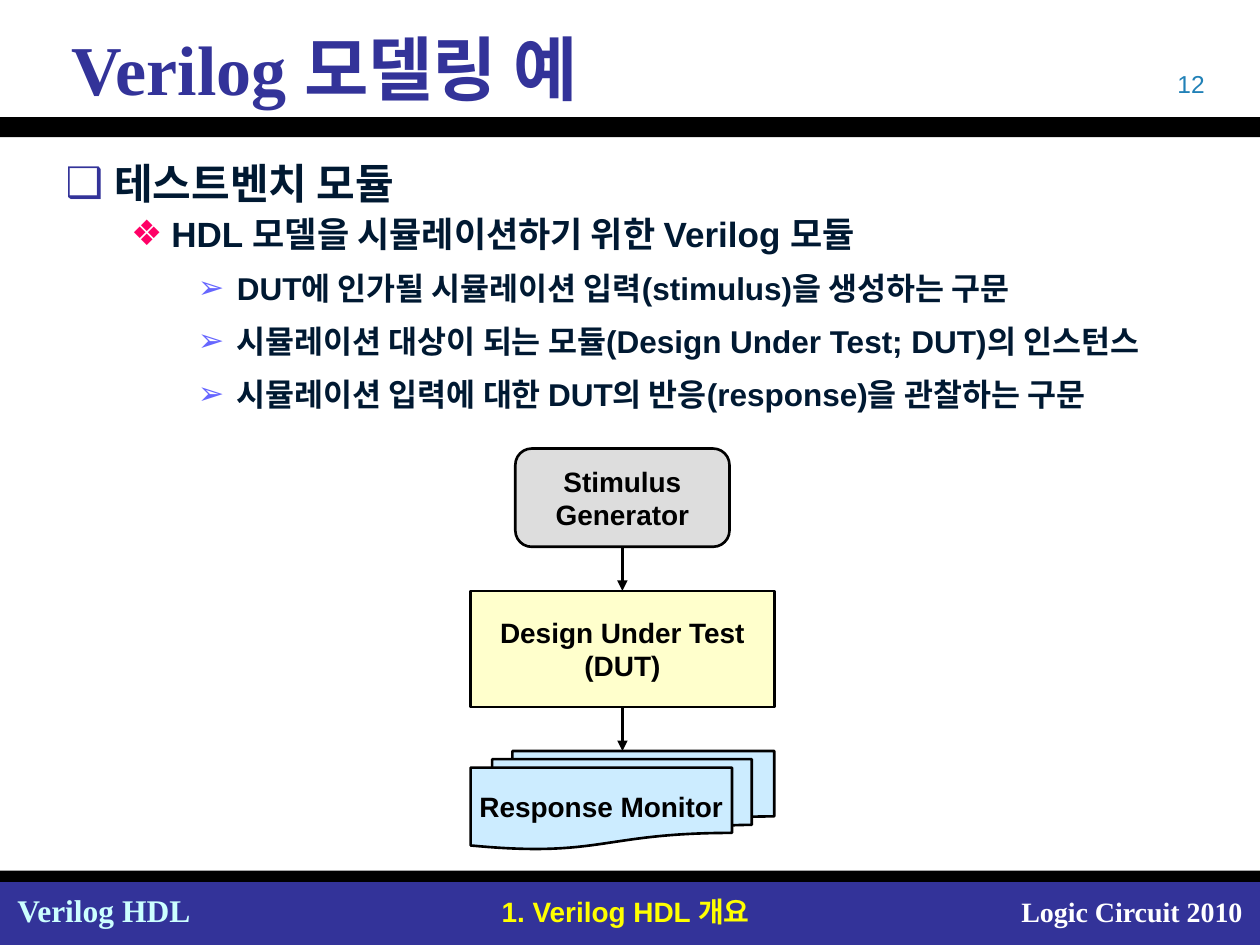
"""Build the Verilog test bench slide."""
from lxml.etree import SubElement as Sub
from pptx import Presentation
from pptx.dml.color import RGBColor as RGB
from pptx.enum.shapes import MSO_CONNECTOR as Link, MSO_SHAPE as Form
from pptx.enum.text import MSO_ANCHOR as Anchor, MSO_AUTO_SIZE as Fit, PP_ALIGN as Align
from pptx.oxml.ns import qn
from pptx.util import Inches, Pt

WIDE, HIGH = 10, 7.5
MID = 4.94
HUES = {
    "navy": "333399", "black": "000000", "white": "FFFFFF", "yellow": "FFFF00",
    "ice": "CCFFFF", "teal": "2181B7", "ink": "001932", "pink": "FF0066",
    "iris": "6666FF", "gray": "DDDDDD", "cream": "FFFFCC", "sky": "CCECFF",
}
SANS, SERIF = "Arial", "Times New Roman"
LEVELS = [
    {"mark": "❑", "hue": "navy", "left": 0.31, "hang": 0.31, "gap": 1.1, "size": 24},
    {"mark": "❖", "hue": "pink", "left": 0.84, "hang": 0.32, "gap": 1.1, "size": 20},
    {"mark": "➢", "hue": "iris", "left": 1.36, "hang": 0.31, "gap": 1.4, "size": 18},
]
ITEMS = [
    (0, " 테스트벤치 모듈"),
    (1, "HDL 모델을 시뮬레이션하기 위한 Verilog 모듈"),
    (2, "DUT에 인가될 시뮬레이션 입력(stimulus)을 생성하는 구문"),
    (2, "시뮬레이션 대상이 되는 모듈(Design Under Test; DUT)의 인스턴스"),
    (2, "시뮬레이션 입력에 대한 DUT의 반응(response)을 관찰하는 구문"),
]
BARS = [(7, 0.5, "navy"), (0.93, 0.16, "black"), (6.91, 0.09, "black")]
NOTES = [
    ("Logic Circuit 2010", (7.97, 7.05, 1.99, 0.37), Align.RIGHT, (SERIF, 16, "white", True)),
    ("1. Verilog HDL 개요", (3.27, 7.05, 3.39, 0.37), Align.CENTER, (SANS, 16, "yellow", True)),
    ("Verilog HDL", (0.04, 7.02, 1.58, 0.4), Align.LEFT, (SERIF, 18, "ice", True)),
    ("12", (7.33, 0.5, 2.33, 0.33), Align.RIGHT, (SANS, 14, "teal", False)),
]
STEPS = [
    (Form.ROUNDED_RECTANGLE, ["Stimulus", "Generator"], 3.56, 1.7, 0.78, "gray"),
    (Form.RECTANGLE, ["Design Under Test", "(DUT)"], 4.69, 2.41, 0.92, "cream"),
    (Form.FLOWCHART_MULTIDOCUMENT, ["Response Monitor"], 5.96, 2.41, 0.78, "sky"),
]


def tint(name):
    return RGB.from_string(HUES[name])


def apply(item, vals):
    for key, val in vals.items():
        setattr(item, key, val)


def style(para, face, size, hue, bold):
    apply(para.font, {"name": face, "size": Pt(size), "bold": bold})
    para.font.color.rgb = tint(hue)


def place(shape, left, top, width, height):
    apply(shape, {"left": Inches(left), "top": Inches(top),
                  "width": Inches(width), "height": Inches(height)})


def solid(slide, form, area, hue):
    shape = slide.shapes.add_shape(form, *map(Inches, area))
    shape.shadow.inherit = False
    shape.fill.solid()
    shape.fill.fore_color.rgb = tint(hue)
    shape.line.fill.background()
    return shape


def note(slide, text, area, align, look):
    frame = slide.shapes.add_textbox(*map(Inches, area)).text_frame
    frame.word_wrap = True
    para = frame.paragraphs[0]
    apply(para, {"text": text, "alignment": align})
    style(para, *look)


def head(slide, text):
    shape = slide.shapes.title
    place(shape, 0.17, 0.21, 9.67, 0.65)
    apply(shape.text_frame, {"auto_size": Fit.NONE, "vertical_anchor": Anchor.MIDDLE})
    para = shape.text_frame.paragraphs[0]
    apply(para, {"text": text, "alignment": Align.LEFT})
    para._p.get_or_add_pPr().set("marL", str(Inches(0.3)))
    style(para, SERIF, 40, "navy", True)


def bullet(para, rank):
    kind = LEVELS[rank]
    apply(para, {"level": rank, "line_spacing": kind["gap"], "space_before": Pt(0)})
    props = para._p.get_or_add_pPr()
    props.set("marL", str(Inches(kind["left"])))
    props.set("indent", str(-Inches(kind["hang"])))
    color = Sub(props, qn("a:buClr"))
    Sub(color, qn("a:srgbClr"), val=HUES[kind["hue"]])
    Sub(props, qn("a:buFont"), typeface=SANS)
    Sub(props, qn("a:buChar"), char=kind["mark"])
    style(para, SANS, kind["size"], "ink", True)


def body(slide):
    shape = slide.placeholders[1]
    place(shape, 0.42, 1.16, 9.25, 2.27)
    frame = shape.text_frame
    frame.auto_size = Fit.NONE
    frame.text = "\n".join(text for _, text in ITEMS)
    for para, (rank, _) in zip(frame.paragraphs, ITEMS):
        bullet(para, rank)


def step(slide, form, lines, top, width, height, hue):
    shape = solid(slide, form, (MID - width / 2, top, width, height), hue)
    shape.line.color.rgb = tint("black")
    shape.line.width = Pt(1.5)
    frame = shape.text_frame
    apply(frame, {"word_wrap": False, "vertical_anchor": Anchor.MIDDLE,
                  "text": "\n".join(lines)})
    for para in frame.paragraphs:
        para.alignment = Align.CENTER
        style(para, SANS, 16, "black", True)


def arrow(slide, top, end):
    line = slide.shapes.add_connector(
        Link.STRAIGHT, Inches(MID), Inches(top), Inches(MID), Inches(end))
    line.line.color.rgb = tint("black")
    line.line.width = Pt(1.5)
    Sub(line.line._get_or_add_ln(), qn("a:tailEnd"), type="triangle")
    Sub(line._element.spPr, qn("a:effectLst"))


def main():
    deck = Presentation()
    apply(deck, {"slide_width": Inches(WIDE), "slide_height": Inches(HIGH)})
    slide = deck.slides.add_slide(deck.slide_layouts[1])
    for top, height, hue in BARS:
        solid(slide, Form.RECTANGLE, (0, top, WIDE, height), hue)
    for item in NOTES:
        note(slide, *item)
    head(slide, "Verilog 모델링 예")
    body(slide)
    for item in STEPS:
        step(slide, *item)
    for (_, _, top, _, height, _), after in zip(STEPS, STEPS[1:]):
        arrow(slide, top + height, after[2])
    deck.save("out.pptx")


if __name__ == "__main__":
    main()
